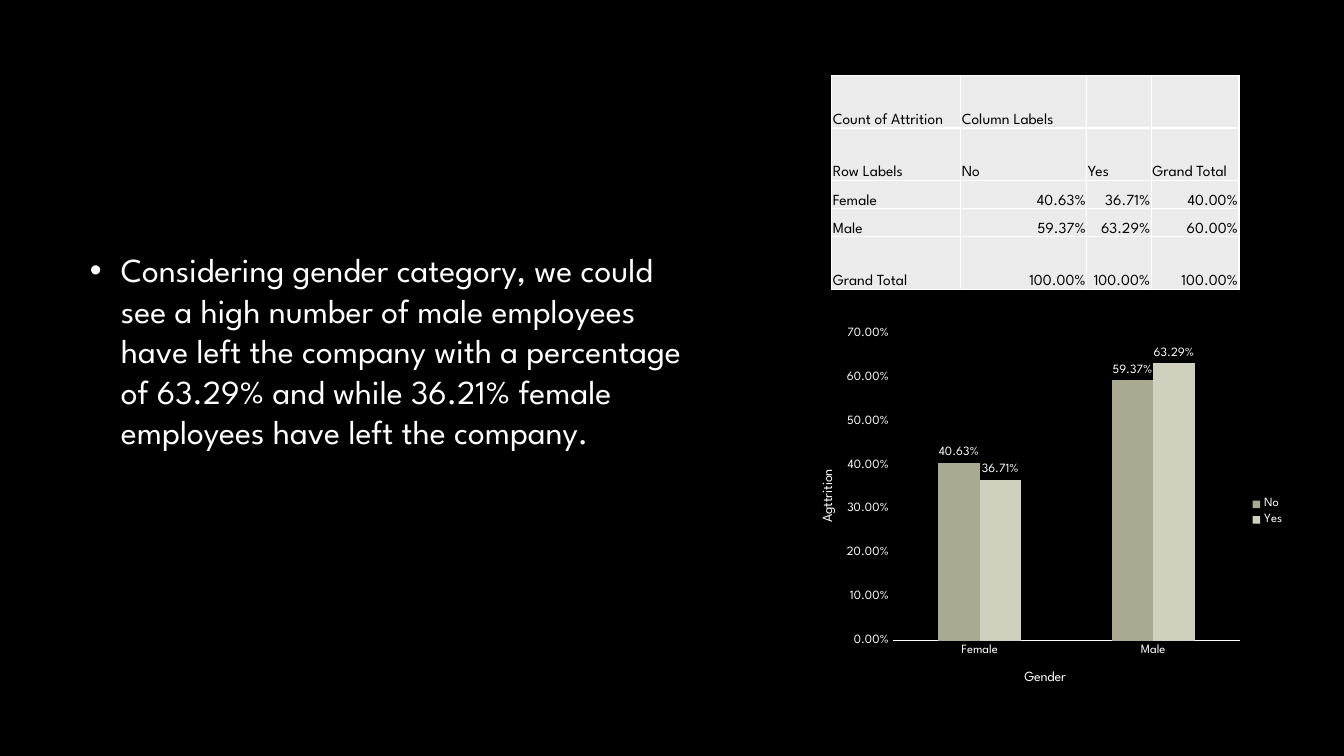
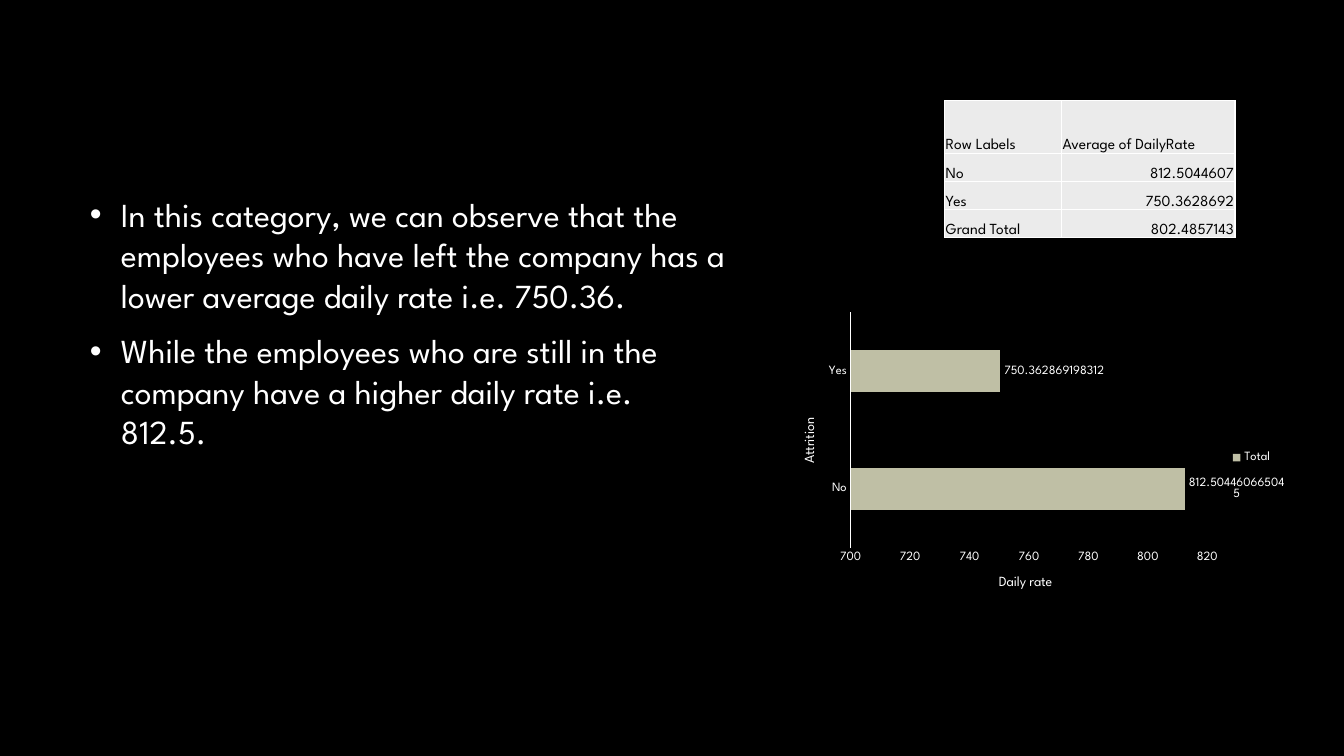
from dataclasses import dataclass

import pptx
import pptx.chart.data
import pptx.dml.color
import pptx.enum.chart
import pptx.enum.text
import pptx.oxml
import pptx.oxml.ns
import pptx.util

Inches = pptx.util.Inches
Pt = pptx.util.Pt
qn = pptx.oxml.ns.qn
ChartType = pptx.enum.chart.XL_CHART_TYPE


@dataclass(frozen=True)
class Theme:
    font: str = "League Spartan"
    background: str = "000000"
    text: str = "FFFFFF"
    cell_text: str = "000000"
    cell_fill: str = "EBEBEB"
    cell_border: str = "FFFFFF"
    body_size: int = 24
    body_leading: float = 28.9
    table_size: int = 11
    axis_title_size: int = 10
    chart_size: int = 9


THEME = Theme()
TALL_ROW, SHORT_ROW = 0.52, 0.28


def rgb(value):
    return pptx.dml.color.RGBColor.from_string(value)


def style_font(font, size, color=THEME.text):
    font.name = THEME.font
    font.size = Pt(size)
    font.bold = False
    font.color.rgb = rgb(color)


def add_slide(prs):
    """Add a slide that keeps only the body placeholder of its layout."""
    slide = prs.slides.add_slide(prs.slide_layouts.get_by_name("Title and Content"))
    title = slide.shapes.title.element
    title.getparent().remove(title)
    return slide


def add_findings(slide, width, findings):
    body = slide.placeholders[1]
    body.left, body.top = Inches(0.29), Inches(0.23)
    body.width, body.height = Inches(width), Inches(6.96)
    frame = body.text_frame
    frame.word_wrap = True
    frame.auto_size = pptx.enum.text.MSO_AUTO_SIZE.NONE
    frame.vertical_anchor = pptx.enum.text.MSO_ANCHOR.BOTTOM
    frame.margin_bottom = Inches(2.71)
    for index, finding in enumerate(findings):
        paragraph = frame.add_paragraph() if index else frame.paragraphs[0]
        paragraph.line_spacing = Pt(THEME.body_leading)
        paragraph.space_after = Pt(6)
        properties = paragraph._p.get_or_add_pPr()
        properties.set("marL", str(Inches(0.81)))
        properties.set("indent", str(Inches(-0.31)))
        run = paragraph.add_run()
        run.text = finding
        style_font(run.font, THEME.body_size)


def add_borders(cell):
    properties = cell._tc.get_or_add_tcPr()
    for index, side in enumerate(("lnL", "lnR", "lnT", "lnB")):
        line = pptx.oxml.parse_xml(
            f'<a:{side} {pptx.oxml.ns.nsdecls("a")} w="{Pt(1)}"><a:solidFill>'
            f'<a:srgbClr val="{THEME.cell_border}"/></a:solidFill></a:{side}>')
        properties.insert(index, line)


def fill_cell(cell, value):
    cell.fill.solid()
    cell.fill.fore_color.rgb = rgb(THEME.cell_fill)
    cell.vertical_anchor = pptx.enum.text.MSO_ANCHOR.BOTTOM
    cell.margin_left = cell.margin_right = cell.margin_top = Inches(0.01)
    cell.margin_bottom = 0
    add_borders(cell)
    if not value:
        return
    paragraph = cell.text_frame.paragraphs[0]
    if value[0].isdigit():
        paragraph.alignment = pptx.enum.text.PP_ALIGN.RIGHT
    run = paragraph.add_run()
    run.text = value
    style_font(run.font, THEME.table_size, THEME.cell_text)


def add_pivot_table(slide, left, top, widths, heights, rows):
    table = slide.shapes.add_table(
        len(rows), len(widths), Inches(left), Inches(top),
        Inches(sum(widths)), Inches(sum(heights))).table
    table.first_row = table.horz_banding = False
    for column, width in zip(table.columns, widths):
        column.width = Inches(width)
    for row, height, values in zip(table.rows, heights, rows):
        row.height = Inches(height)
        for cell, value in zip(row.cells, values):
            fill_cell(cell, value)


def set_layout(element, index, inner=False, **fractions):
    """Place a chart part by fractions of the chart's width and height."""
    for old in element.findall(qn("c:layout")):
        element.remove(old)
    target = '<c:layoutTarget val="inner"/>' if inner else ""
    modes = "".join(f'<c:{key}Mode val="edge"/>' for key in "xy")
    values = "".join(f'<c:{key} val="{value}"/>' for key, value in fractions.items())
    element.insert(index, pptx.oxml.parse_xml(
        f'<c:layout {pptx.oxml.ns.nsdecls("c")}><c:manualLayout>'
        f'{target}{modes}{values}</c:manualLayout></c:layout>'))


def style_axis(axis, title, title_x, title_y):
    axis.has_major_gridlines = False
    axis.major_tick_mark = axis.minor_tick_mark = pptx.enum.chart.XL_TICK_MARK.NONE
    style_font(axis.tick_labels.font, THEME.chart_size)
    run = axis.axis_title.text_frame.paragraphs[0].add_run()
    run.text = title
    style_font(run.font, THEME.axis_title_size)
    set_layout(axis.axis_title.element, 1, x=title_x, y=title_y)


def add_bar_chart(slide, kind, box, categories, series, gap, number_format,
                  category_title, value_title, plot_box):
    """Add a chart; series holds (name, values, color), titles (text, x, y)."""
    data = pptx.chart.data.CategoryChartData(number_format=number_format)
    data.categories = categories
    for name, values, _ in series:
        data.add_series(name, values)
    chart = slide.shapes.add_chart(kind, *map(Inches, box), data).chart
    chart.has_title = False
    style_font(chart.font, THEME.axis_title_size)

    chart.has_legend = True
    chart.legend.position = pptx.enum.chart.XL_LEGEND_POSITION.RIGHT
    chart.legend.include_in_layout = False
    style_font(chart.legend.font, THEME.chart_size)

    style_axis(chart.category_axis, *category_title)
    category_line = chart.category_axis.format.line
    category_line.color.rgb = rgb(THEME.text)
    category_line.width = Pt(0.75)
    style_axis(chart.value_axis, *value_title)
    chart.value_axis.format.line.fill.background()
    chart.value_axis.tick_labels.number_format = number_format
    chart.value_axis.tick_labels.number_format_is_linked = False

    plot = chart.plots[0]
    plot.gap_width = gap
    plot.overlap = 0
    plot.vary_by_categories = False
    for bars, (_, _, color) in zip(plot.series, series):
        bars.format.fill.solid()
        bars.format.fill.fore_color.rgb = rgb(color)
        labels = bars.data_labels
        labels.show_value = True
        labels.position = pptx.enum.chart.XL_LABEL_POSITION.OUTSIDE_END
        labels.number_format = number_format
        labels.number_format_is_linked = False
        style_font(labels.font, THEME.chart_size)
    plot_area = chart.element.find(".//" + qn("c:plotArea"))
    set_layout(plot_area, 0, inner=True, **dict(zip("xywh", plot_box)))
    return chart


def build_gender_slide(prs):
    slide = add_slide(prs)
    add_findings(slide, 6.81, [
        "Considering gender category, we could see a high number of male employees "
        "have left the company with a percentage of 63.29% and while 36.21% female "
        "employees have left the company."])
    add_pivot_table(
        slide, 8.25, 0.75, [1.28, 1.25, 0.64, 0.87],
        [TALL_ROW, TALL_ROW, SHORT_ROW, SHORT_ROW, TALL_ROW],
        [("Count of Attrition", "Column Labels", "", ""),
         ("Row Labels", "No", "Yes", "Grand Total"),
         ("Female", "40.63%", "36.71%", "40.00%"),
         ("Male", "59.37%", "63.29%", "60.00%"),
         ("Grand Total", "100.00%", "100.00%", "100.00%")])
    chart = add_bar_chart(
        slide, ChartType.COLUMN_CLUSTERED, (7.92, 3.2, 4.92, 3.76),
        ["Female", "Male"],
        [("No", (0.4063, 0.5937), "AAAA92"), ("Yes", (0.3671, 0.6329), "D0D0BF")],
        gap=219, number_format="0.00%",
        category_title=("Gender", 0.45, 0.91),
        value_title=("Agttrition", 0.04, 0.38),
        plot_box=(0.19, 0.03, 0.7, 0.81))
    chart.value_axis.minimum_scale, chart.value_axis.maximum_scale = 0, 0.7
    chart.value_axis.major_unit = 0.1


def build_daily_rate_slide(prs):
    slide = add_slide(prs)
    add_findings(slide, 7.01, [
        "In this category, we can observe that the employees who have left the "
        "company has a lower average daily rate i.e. 750.36.",
        "While the employees who are still in the company have a higher daily rate "
        "i.e. 812.5."])
    add_pivot_table(
        slide, 9.37, 1, [1.16, 1.72], [TALL_ROW] + [SHORT_ROW] * 3,
        [("Row Labels", "Average of DailyRate"),
         ("No", "812.5044607"),
         ("Yes", "750.3628692"),
         ("Grand Total", "802.4857143")])
    chart = add_bar_chart(
        slide, ChartType.BAR_CLUSTERED, (7.74, 3.04, 5, 3), ["No", "Yes"],
        [("Total", (812.504460665045, 750.362869198312), "BFBFA5")],
        gap=182, number_format="General",
        category_title=("Attrition", 0.04, 0.36),
        value_title=("Daily rate", 0.43, 0.88),
        plot_box=(0.14, 0.02, 0.71, 0.78))
    chart.value_axis.minimum_scale, chart.value_axis.maximum_scale = 700, 820
    chart.value_axis.major_unit = 20


def main():
    prs = pptx.Presentation()
    prs.slide_width, prs.slide_height = Inches(13.33), Inches(7.5)
    background = prs.slide_master.background.fill
    background.solid()
    background.fore_color.rgb = rgb(THEME.background)
    build_gender_slide(prs)
    build_daily_rate_slide(prs)
    prs.save("out.pptx")


if __name__ == "__main__":
    main()
